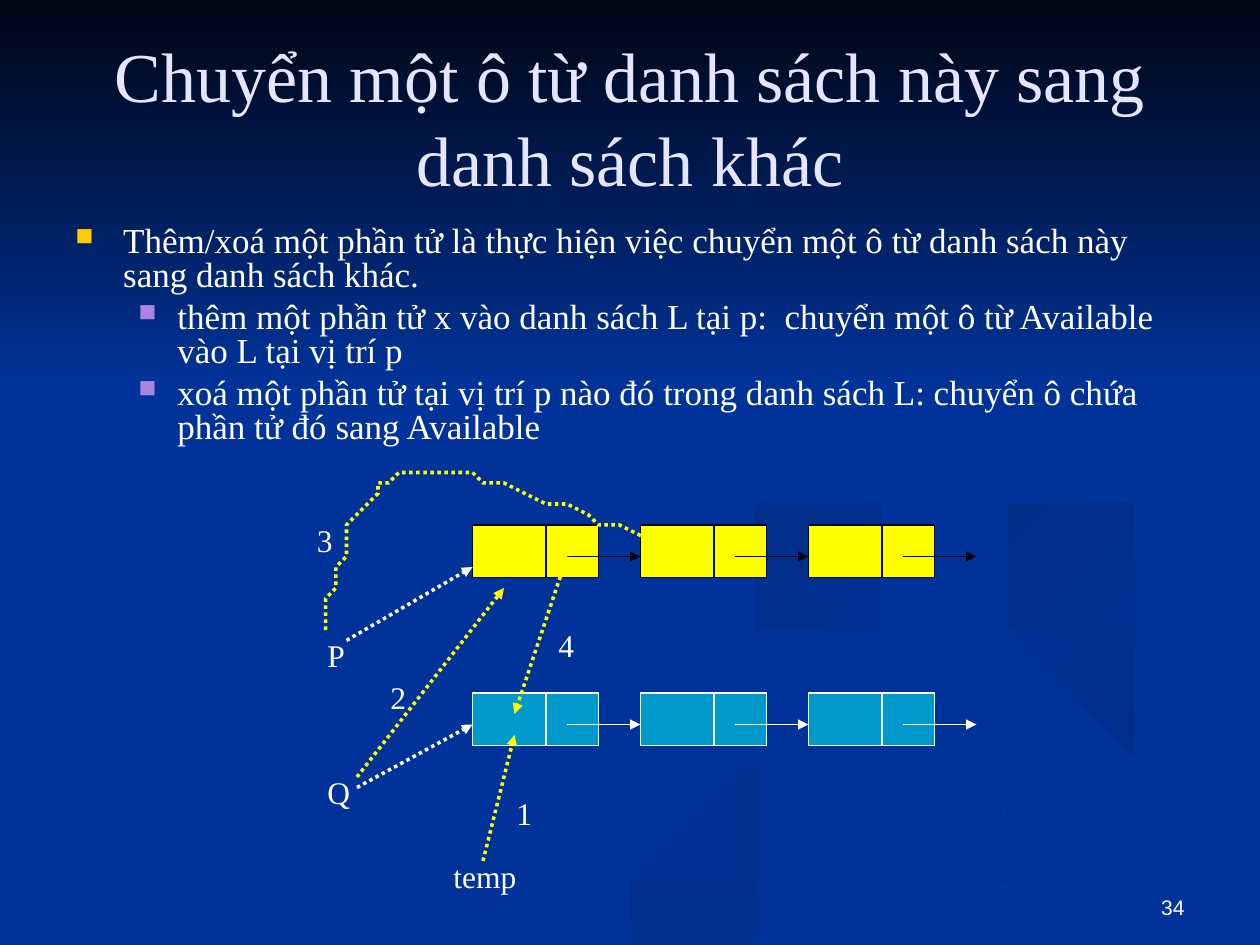
from lxml import etree
from pptx import Presentation
from pptx.dml.color import RGBColor
from pptx.enum.dml import MSO_LINE
from pptx.enum.shapes import MSO_CONNECTOR, MSO_SHAPE
from pptx.enum.text import MSO_ANCHOR, PP_ALIGN
from pptx.oxml.ns import qn
from pptx.util import Inches, Pt

STRAIGHT, RECT = MSO_CONNECTOR.STRAIGHT, MSO_SHAPE.RECTANGLE
DOTTED = MSO_LINE.ROUND_DOT
MIDDLE, BOTTOM = MSO_ANCHOR.MIDDLE, MSO_ANCHOR.BOTTOM
CENTER, RIGHT = PP_ALIGN.CENTER, PP_ALIGN.RIGHT
SERIF, SANS = "Times New Roman", "Arial"
BLUE, NAVY, WHITE, YELLOW, CYAN = "003399", "000514", "FFFFFF", "FFFF00", "0099CC"
SLIDE_W, SLIDE_H = 10, 7.5

TITLE = "Chuyển một ô từ danh sách này sang danh sách khác"
TOP_LEVEL, SUB_LEVEL = (0.38, 0.38, "FFCC00"), (0.81, 0.31, "A886E0")  # indent, hang, bullet
BULLETS = [
    ("Thêm/xoá một phần tử là thực hiện việc chuyển một ô từ danh sách này sang danh sách khác.",
     TOP_LEVEL),
    ("thêm một phần tử x vào danh sách L tại p:  chuyển một ô từ Available vào L tại vị trí p",
     SUB_LEVEL),
    ("xoá một phần tử tại vị trí p nào đó trong danh sách L: chuyển ô chứa phần tử đó sang Available",
     SUB_LEVEL),
]

# The diagram lies on a grid of 12 units to the inch.
UNIT = Inches(1) // 12
CELL_W, CELL_H, CELL_STEP, CELL_X, CELLS = 12, 5, 16, 45, 3
LISTS = [(50, YELLOW, NAVY), (66, CYAN, WHITE)]  # top, fill, line
LABELS = [("P", 30, 60, 8), ("Q", 30, 73, 8), ("temp", 42, 81, 16),
          ("1", 48, 75, 7), ("2", 36, 64, 4), ("3", 29, 49, 6), ("4", 52, 59, 6)]
POINTERS = [((34, 75), (45, 69), WHITE), ((33, 61), (45, 54), WHITE),
            ((46, 82), (49, 70), YELLOW), ((34, 74), (48, 56), YELLOW),
            ((54, 53), (49, 68), YELLOW)]
ARC = [[(31, 60), (32.3, 53.2), (33.5, 46.3), (39, 45)],
       [(39, 45), (44.5, 43.7), (59.9, 50.9), (64, 52)]]

# Background ribbons: first colour, last colour, clockwise angle, knots in inches
RIBBONS = [
    (BLUE, "002E8B", 0, [
        (7.8, 5.5), (6.8, 5.2), (5.75, 4.6), (5.8, 4.8), (7.3, 5.35), (7.85, 5.65),
        (5.8, 6.4), (3, 7.5), (3.6, 7.5), (5.6, 6.65), (7.8, 6.05), (8, 5.8)]),
    (BLUE, "002E8B", 45, [
        (9.4, 5.7), (8.5, 5.25), (7.25, 4.65), (8.1, 5.3), (9.2, 5.8), (8.95, 6.05)]),
    ("002A7D", BLUE, 90, [
        (5, 7.5), (5.7, 7.5), (7.5, 6.7), (10, 6.1), (10, 5.8), (8, 6.4), (6.3, 6.95)]),
    ("002D86", BLUE, 45, [
        (7.8, 4.6), (8.25, 4.95), (8.1, 4.65), (10, 4.2), (10, 4), (8.3, 4.3)]),
    ("002B82", BLUE, 45, [
        (6.8, 4.3), (8.55, 3.9), (8.95, 3.45), (7.6, 2.35), (8.9, 3.35), (8.3, 3.8),
        (5.8, 4.6), (6.2, 5)]),
]


def rgb(color):
    return RGBColor.from_string(color)


def style_line(line, color, width, dash=None):
    line.color.rgb = rgb(color)
    line.width = Pt(width)
    if dash:
        line.dash_style = dash


def add_arrowhead(shape):
    etree.SubElement(shape.line._get_or_add_ln(), qn("a:tailEnd"), type="triangle")


def add_line(s, start, end, color, width=0.75, dash=None, arrow=True):
    """Straight line between two grid points."""
    c = s.shapes.add_connector(STRAIGHT, *(round(v * UNIT) for v in (*start, *end)))
    style_line(c.line, color, width, dash)
    if arrow:
        add_arrowhead(c)
    etree.SubElement(c._element.spPr, qn("a:effectLst"))


def bezier(p0, p1, p2, p3, steps=16):
    for i in range(steps + 1):
        t = i / steps
        u = 1 - t
        yield tuple(u ** 3 * a + 3 * t * u * u * b + 3 * t * t * u * c + t ** 3 * d
                    for a, b, c, d in zip(p0, p1, p2, p3))


def smooth_loop(knots):
    """Closed smooth curve through the knots, kept on the slide."""
    n = len(knots)
    for i in range(n):
        a, b, c, d = (knots[(i + k) % n] for k in (-1, 0, 1, 2))
        out = tuple(q + (r - p) / 6 for p, q, r in zip(a, b, c))
        back = tuple(q - (r - p) / 6 for p, q, r in zip(b, c, d))
        for x, y in bezier(b, out, back, c):
            yield min(x, SLIDE_W), min(y, SLIDE_H)


def add_outline(s, points, scale, close=True):
    builder = s.shapes.build_freeform(*points[0], scale=scale)
    builder.add_line_segments(points[1:], close=close)
    sp = builder.convert_to_shape()
    sp.shadow.inherit = False
    return sp


def fill_gradient(sp, first, last, angle):
    sp.fill.gradient()
    sp.fill.gradient_angle = -angle % 360
    for stop, color in zip(sp.fill.gradient_stops, (first, last)):
        stop.color.rgb = rgb(color)
    sp.line.fill.background()


def write(p, text, size, color=WHITE, font=SERIF):
    r = p.add_run()
    r.text = text
    r.font.size, r.font.name = Pt(size), font
    r.font.color.rgb = rgb(color)


def add_box(s, left, top, width, height):
    tf = s.shapes.add_textbox(left, top, width, height).text_frame
    tf.word_wrap = True
    return tf


def add_bullet(p, left, hang, color):
    pPr = p._p.get_or_add_pPr()
    pPr.set("marL", str(Inches(left)))
    pPr.set("indent", str(-Inches(hang)))
    clr = etree.SubElement(pPr, qn("a:buClr"))
    etree.SubElement(clr, qn("a:srgbClr"), val=color)
    etree.SubElement(pPr, qn("a:buSzPct"), val="70000")
    etree.SubElement(pPr, qn("a:buChar"), char="■")


def add_background(s):
    s.background.fill.solid()
    s.background.fill.fore_color.rgb = rgb(BLUE)
    for first, last, angle, knots in RIBBONS:
        sp = add_outline(s, list(smooth_loop(knots)), Inches(1))
        fill_gradient(sp, first, last, angle)
    sky = s.shapes.add_shape(RECT, 0, 0, Inches(SLIDE_W), Inches(3.08))
    sky.shadow.inherit = False
    fill_gradient(sky, NAVY, BLUE, 90)


def add_texts(s):
    title = s.shapes.title
    s.shapes._spTree.append(title._element)  # bring in front of the background
    title.left, title.top, title.width, title.height = map(Inches, (0.5, 0.3, 9, 1.25))
    title.text_frame.vertical_anchor = MIDDLE
    p = title.text_frame.paragraphs[0]
    p.alignment = CENTER
    write(p, TITLE, 40, "E5E5FF")

    tf = add_box(s, *map(Inches, (0.5, 1.75, 8.83, 1.92)))
    for i, (text, level) in enumerate(BULLETS):
        p = tf.add_paragraph() if i else tf.paragraphs[0]
        add_bullet(p, *level)
        p.line_spacing = 0.8
        p.space_before = Pt(5 if i else 0)
        write(p, text, 20)

    tf = add_box(s, *map(Inches, (7.17, 6.83, 2.33, 0.52)))
    tf.vertical_anchor = BOTTOM
    tf.paragraphs[0].alignment = RIGHT
    write(tf.paragraphs[0], "34", 12, font=SANS)


def add_diagram(s):
    for top, fill, line in LISTS:
        for i in range(CELLS):
            x = CELL_X + i * CELL_STEP
            sp = s.shapes.add_shape(RECT, *(v * UNIT for v in (x, top, CELL_W, CELL_H)))
            sp.shadow.inherit = False
            sp.fill.solid()
            sp.fill.fore_color.rgb = rgb(fill)
            style_line(sp.line, line, 0.75)
            add_line(s, (x + 7, top), (x + 7, top + CELL_H), line, arrow=False)
            add_line(s, (x + 9, top + 3), (x + CELL_STEP, top + 3), line)
    for start, end, color in POINTERS:
        add_line(s, start, end, color, 2, DOTTED)
    points = [pt for part in ARC for pt in bezier(*part)]
    arc = add_outline(s, points, UNIT, close=False)
    arc.fill.background()
    style_line(arc.line, YELLOW, 2, DOTTED)
    add_arrowhead(arc)
    for text, x, y, width in LABELS:
        tf = add_box(s, x * UNIT, y * UNIT, width * UNIT, Inches(0.4))
        write(tf.paragraphs[0], text, 18)


prs = Presentation()
prs.slide_width, prs.slide_height = Inches(SLIDE_W), Inches(SLIDE_H)
s = prs.slides.add_slide(prs.slide_layouts[5])
add_background(s)
add_texts(s)
add_diagram(s)
prs.save("out.pptx")
